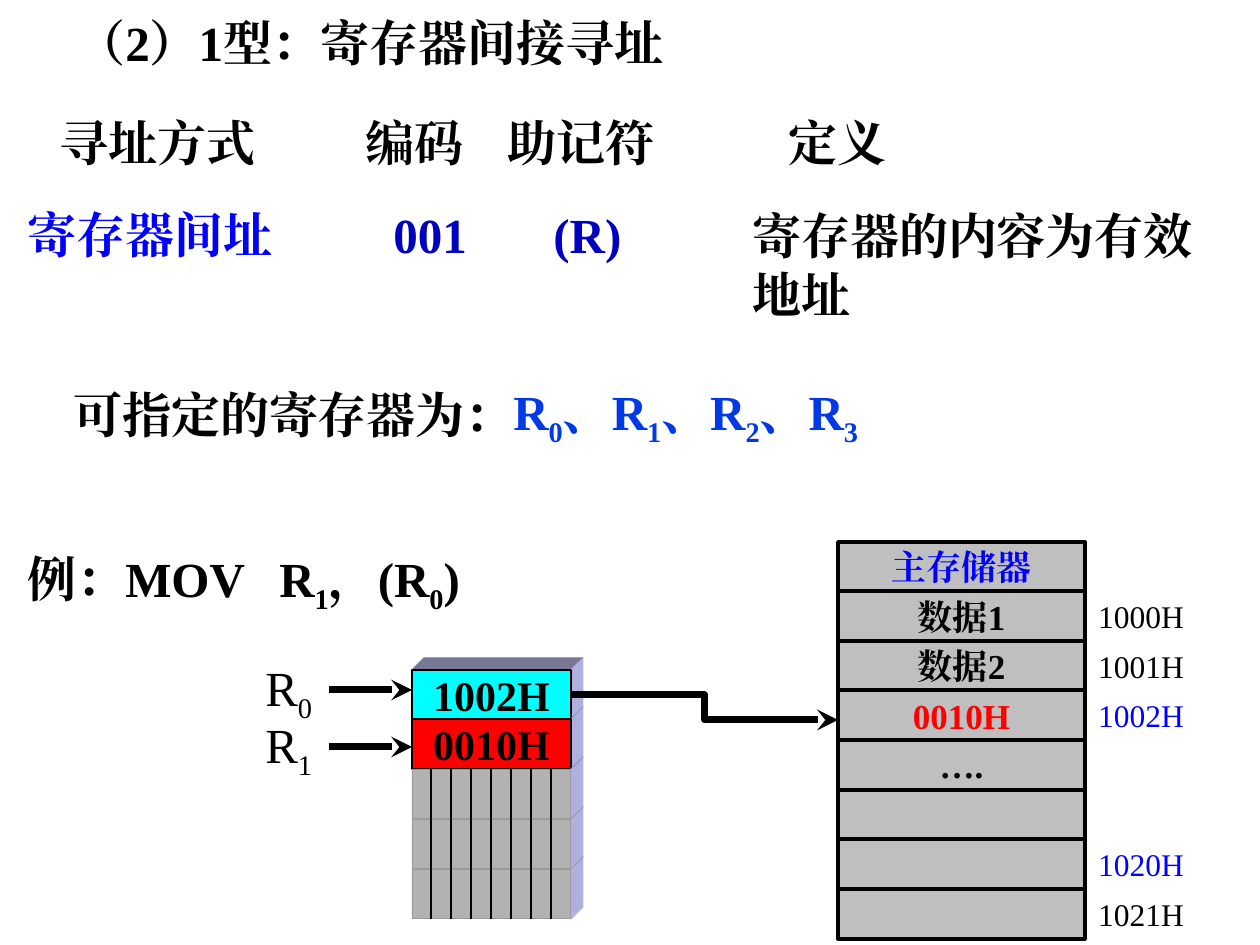
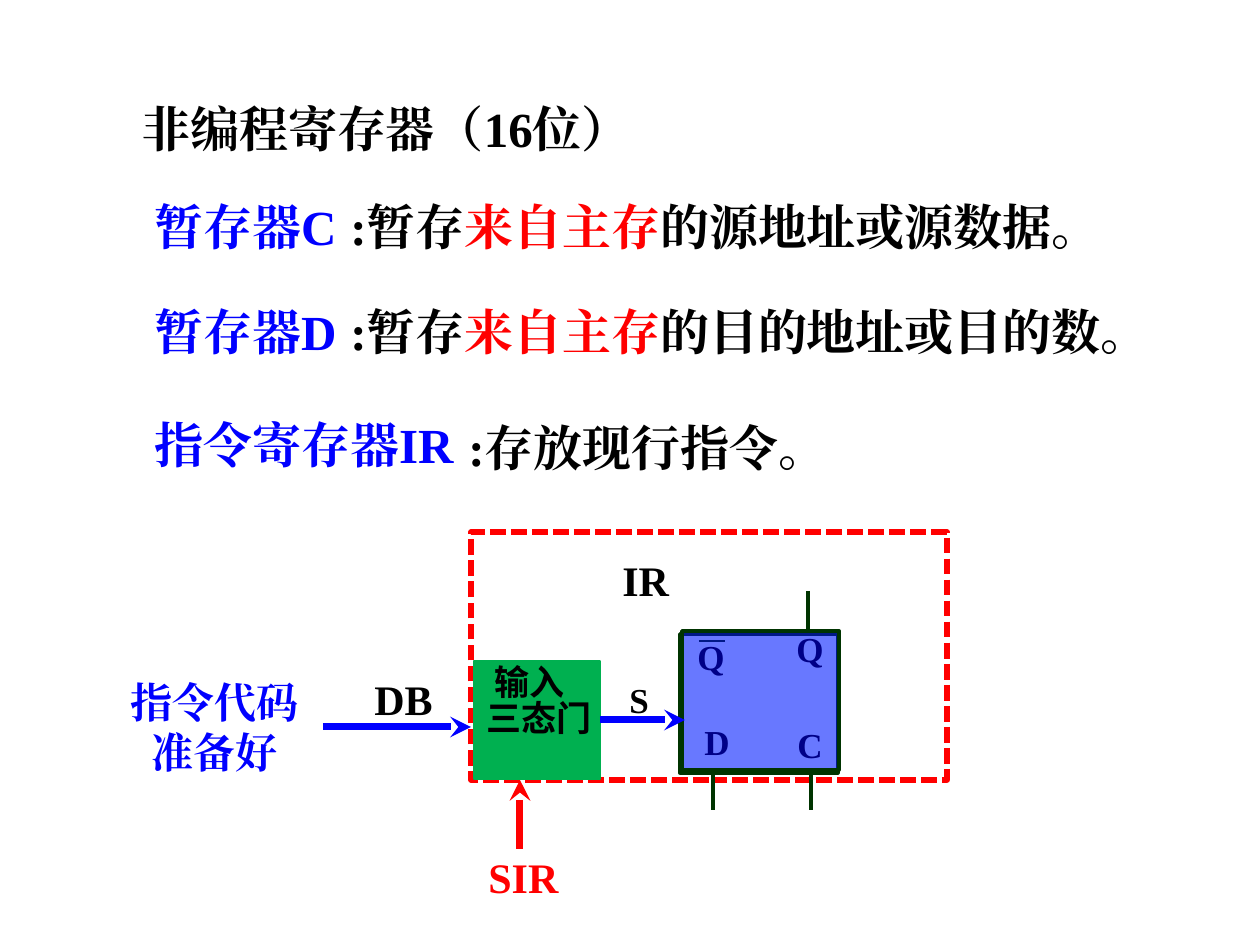
"""Build two slides on register indirect addressing and the hidden registers."""
from dataclasses import dataclass
from itertools import pairwise
from typing import Optional

from lxml import etree
from pptx import Presentation
from pptx import util as u
from pptx.dml.color import RGBColor
from pptx.enum import dml, shapes, text
from pptx.oxml.ns import qn

SCALE = 914400 / 126
BLACK, WHITE, RED, BLUE = "000000", "FFFFFF", "FF0000", "0000FF"
NAVY, ROYAL, CYAN, GREEN = "0000BF", "0039E5", "00FFFF", "00B050"
DARK_GREEN, PALE, MEMORY_GREY, BIT_GREY = "003400", "DDFFFF", "BFBFBF", "B2B2B2"
SIDE, TOP, EDGE = "B0B0DE", "787896", "9A9A9A"
SERIF, SANS = "Times New Roman", "Noto Sans CJK SC"
LEFT, CENTER = text.PP_ALIGN.LEFT, text.PP_ALIGN.CENTER
STRAIGHT, ELBOW = shapes.MSO_CONNECTOR.STRAIGHT, shapes.MSO_CONNECTOR.ELBOW


@dataclass(frozen=True)
class Run:
    """A stretch of text that differs from its paragraph."""
    text: str
    color: Optional[str] = None
    subscript: bool = False


@dataclass(frozen=True)
class Style:
    """The look of a block of text."""
    size: int = 28
    color: str = BLACK
    bold: bool = True
    font: str = SERIF
    align: text.PP_ALIGN = LEFT
    wrap: bool = True
    tabs: tuple[int, ...] = ()
    spacing: Optional[float] = None
    first_indent: int = 0


@dataclass(frozen=True)
class Label:
    """A text box; each line is a list of runs."""
    lines: list[list[Run]]
    left: int
    top: int
    width: int
    height: int = 72
    style: Style = Style()


@dataclass(frozen=True)
class Box:
    """A rectangle with optional fill and line."""
    left: int
    top: int
    width: int
    height: int
    fill: Optional[str] = None
    line: Optional[str] = None
    weight: float = 1


@dataclass(frozen=True)
class Wire:
    """A connector between two points."""
    start: tuple[int, int]
    end: tuple[int, int]
    color: str = BLACK
    weight: float = 4
    arrow: bool = True
    kind: shapes.MSO_CONNECTOR = STRAIGHT


def px(value: float) -> int:
    """Turn px into EMU."""
    return round(value * SCALE)


def rgb(color: str) -> RGBColor:
    """Turn a hex string into a colour."""
    return RGBColor.from_string(color)


def plain(content: str) -> list[list[Run]]:
    """Split a string into lines of one run each."""
    return [[Run(line)] for line in content.split("\n")]


def indexed(*parts: str) -> list[list[Run]]:
    """Make one line in which every second part is a subscript."""
    return [[Run(part, subscript=index % 2 == 1) for index, part in enumerate(parts)]]


def edges(start: int, length: int, count: int) -> list[int]:
    """Divide a length into equal cells and return their edges."""
    return [start + length * index // count for index in range(count + 1)]


def write(frame, lines: list[list[Run]], style: Style) -> None:
    """Fill a text frame with styled lines."""
    frame.word_wrap = style.wrap
    for index, line in enumerate(lines):
        paragraph = frame.paragraphs[0] if index == 0 else frame.add_paragraph()
        paragraph.alignment = style.align
        if style.spacing:
            paragraph.line_spacing = style.spacing
        properties = paragraph._p.get_or_add_pPr()
        if index == 0 and style.first_indent:
            properties.set("marL", str(px(style.first_indent)))
        if style.tabs:
            tab_list = etree.SubElement(properties, qn("a:tabLst"))
            for tab in style.tabs:
                etree.SubElement(tab_list, qn("a:tab"), pos=str(px(tab)), algn="l")
        font = paragraph.font
        font.size, font.bold, font.name = u.Pt(style.size), style.bold, style.font
        if all(run.color is None for run in line):
            font.color.rgb = rgb(style.color)
        etree.SubElement(properties.find(qn("a:defRPr")), qn("a:ea"), typeface=style.font)
        for part in line:
            run = paragraph.add_run()
            run.text = part.text
            if part.color:
                run.font.color.rgb = rgb(part.color)
            if part.subscript:
                run._r.get_or_add_rPr().set("baseline", "-25000")


def add_label(slide, label: Label) -> None:
    """Draw a text box."""
    shape = slide.shapes.add_textbox(px(label.left), px(label.top), px(label.width), px(label.height))
    write(shape.text_frame, label.lines, label.style)
    shape.text_frame.auto_size = text.MSO_AUTO_SIZE.SHAPE_TO_FIT_TEXT


def paint(shape, fill: Optional[str], line: Optional[str], weight: float = 1) -> None:
    """Set the fill and line of a shape and drop its shadow."""
    shape.shadow.inherit = False
    if fill:
        shape.fill.solid()
        shape.fill.fore_color.rgb = rgb(fill)
    else:
        shape.fill.background()
    if line:
        shape.line.color.rgb = rgb(line)
        shape.line.width = u.Pt(weight)
    else:
        shape.line.fill.background()


def add_box(slide, box: Box, content: str = "", style: Style = Style(),
            anchor: text.MSO_ANCHOR = text.MSO_ANCHOR.MIDDLE):
    """Draw a rectangle, with text if any is given."""
    shape = slide.shapes.add_shape(shapes.MSO_SHAPE.RECTANGLE, px(box.left), px(box.top),
                                   px(box.width), px(box.height))
    paint(shape, box.fill, box.line, box.weight)
    if content:
        write(shape.text_frame, plain(content), style)
        shape.text_frame.vertical_anchor = anchor
    return shape


def add_wire(slide, wire: Wire):
    """Draw a connector without a shadow."""
    connector = slide.shapes.add_connector(wire.kind, *map(px, wire.start + wire.end))
    connector.line.color.rgb = rgb(wire.color)
    connector.line.width = u.Pt(wire.weight)
    if wire.arrow:
        etree.SubElement(connector.line._get_or_add_ln(), qn("a:tailEnd"), type="stealth")
    etree.SubElement(connector._element.spPr, qn("a:effectLst"))
    return connector


def add_face(slide, points: list[tuple[int, int]], fill: str, line: str) -> None:
    """Draw a closed outline."""
    outline = [(px(x), px(y)) for x, y in points]
    builder = slide.shapes.build_freeform(*outline[0], scale=1.0)
    builder.add_line_segments(outline[1:], close=True)
    paint(builder.convert_to_shape(), fill, line, 0.5)


def add_register_file(slide) -> None:
    """Draw the solid block of registers and its two filled cells."""
    left, top, width, height, depth = 412, 670, 159, 249, 12
    right = left + width
    add_face(slide, [(left, top), (left + depth, top - depth),
                     (right + depth, top - depth), (right, top)], TOP, TOP)
    filled = [("1002H", CYAN), ("0010H", RED)]
    style = Style(24, align=CENTER, wrap=False)
    for index, (upper, lower) in enumerate(pairwise(edges(top, height, 5))):
        add_face(slide, [(right, upper), (right + depth, upper - depth),
                         (right + depth, lower - depth), (right, lower)], SIDE, SIDE)
        if index:
            add_wire(slide, Wire((right, upper), (right + depth, upper - depth), EDGE, 0.5, False))
        if index < len(filled):
            value, color = filled[index]
            add_box(slide, Box(left, upper, width, lower - upper, color, BLACK), value, style)
            continue
        add_box(slide, Box(left, upper, width, lower - upper, BIT_GREY, EDGE, 0.5))
        for x in edges(left, width, 8)[1:-1]:
            add_wire(slide, Wire((x, upper), (x, lower), weight=0.75, arrow=False))


def add_memory(slide) -> None:
    """Draw the main memory column with its addresses."""
    rows = [("主存储器", BLUE, "", BLACK), ("数据1", BLACK, "1000H", BLACK),
            ("数据2", BLACK, "1001H", BLACK), ("0010H", RED, "1002H", BLUE),
            ("….", BLACK, "", BLACK), ("", BLACK, "", BLACK),
            ("", BLACK, "1020H", BLUE), ("", BLACK, "1021H", BLACK)]
    for (upper, lower), (value, color, address, address_color) in zip(
            pairwise(edges(542, 397, len(rows))), rows):
        if address:
            add_box(slide, Box(1076, upper, 130, lower - upper, WHITE), address,
                    Style(18, address_color, False, align=CENTER))
        add_box(slide, Box(838, upper, 247, lower - upper, MEMORY_GREY, BLACK, 2), value,
                Style(20, color, align=CENTER))


def build_addressing(slide) -> None:
    """Build the slide on register indirect addressing."""
    for label in [
        Label(plain("（2）1型：寄存器间接寻址"), 64, 6, 804),
        Label(plain("寻址方式\t编码\t助记符\t定义"), 47, 106, 1050, style=Style(tabs=(306, 448, 729))),
        Label(plain("寄存器间址"), 15, 198, 465, style=Style(color=BLUE)),
        Label(plain("001"), 381, 198, 243, style=Style(color=NAVY)),
        Label(plain("(R)"), 541, 198, 106, style=Style(color=NAVY)),
        Label(plain("寄存器的内容为有效地址"), 740, 199, 512, 131),
        Label(plain("可指定的寄存器为："), 61, 378, 440),
        Label(indexed("R", "0", "、R", "1", "、R", "2", "、R", "3"), 501, 375, 417,
              style=Style(color=ROYAL)),
        Label(indexed("例：MOV\tR", "1", "，(R", "0", ")"), 15, 542, 486, style=Style(tabs=(252,))),
    ]:
        add_label(slide, label)
    add_register_file(slide)
    add_memory(slide)
    for number, top, arrow_y in [("0", 651, 690), ("1", 708, 747)]:
        add_label(slide, Label(indexed("R", number), 253, top, 74, style=Style(bold=False, wrap=False)))
        add_wire(slide, Wire((329, arrow_y), (412, arrow_y)))
    add_wire(slide, Wire((571, 695), (838, 720), kind=ELBOW))


def add_flip_flop(slide) -> None:
    """Draw the flip-flop with its pins under a tinted cover."""
    add_box(slide, Box(680, 634, 158, 139, PALE, DARK_GREEN, 2))
    for name, left, top in [("S", 617, 672), ("D", 692, 714), ("C", 785, 717),
                            ("Q", 784, 621), ("Q", 685, 629)]:
        add_label(slide, Label(plain(name), left, top, 68, 48, Style(20)))
    add_wire(slide, Wire((699, 641), (725, 641), DARK_GREEN, 1.5, False))
    for x, upper, lower in [(808, 591, 634), (713, 772, 810), (811, 772, 810)]:
        add_wire(slide, Wire((x, upper), (x, lower), DARK_GREEN, 2, False))
    cover = add_box(slide, Box(682, 631, 157, 139, BLUE, DARK_GREEN, 2))
    tint = cover._element.spPr.find(qn("a:solidFill"))[0]
    etree.SubElement(tint, qn("a:alpha"), val="53000")


def build_hidden_registers(slide) -> None:
    """Build the slide on registers that programs cannot reach."""
    add_label(slide, Label(plain("非编程寄存器（16位）"), 129, 92, 861))
    for name, top, ending in [("C", 190, "的源地址或源数据。"), ("D", 295, "的目的地址或目的数。")]:
        add_label(slide, Label(plain(f"暂存器{name}"), 142, top, 368, style=Style(color=BLUE)))
        add_label(slide, Label([[Run(":暂存", BLACK), Run("来自主存", RED), Run(ending, BLACK)]],
                               338, top, 809))
    add_label(slide, Label(plain("指令寄存器IR"), 142, 408, 693, style=Style(color=BLUE)))
    add_label(slide, Label(plain(":存放现行指令。"), 456, 411, 404))
    frame = add_box(slide, Box(471, 532, 476, 248, None, RED, 3))
    frame.line.dash_style = dml.MSO_LINE.SQUARE_DOT
    add_flip_flop(slide)
    gate = add_box(slide, Box(474, 661, 126, 118, GREEN, GREEN), "输入\n三态门",
                   Style(20, font=SANS, wrap=False, spacing=0.85, first_indent=8),
                   text.MSO_ANCHOR.TOP)
    add_wire(slide, Wire((600, 720), (685, 720), BLUE)).begin_connect(gate, 3)
    add_wire(slide, Wire((323, 727), (471, 727), BLUE))
    add_wire(slide, Wire((520, 849), (520, 780), RED))
    for content, left, top, width, color, align in [
        ("DB", 362, 667, 84, BLACK, LEFT), ("SIR", 476, 845, 96, RED, LEFT),
        ("IR", 610, 548, 73, BLACK, LEFT), ("指令代码\n准备好", 117, 670, 195, BLUE, CENTER),
    ]:
        add_label(slide, Label(plain(content), left, top, width, 63,
                               Style(24, color, align=align, wrap=False)))


def main() -> None:
    """Build and save the presentation."""
    presentation = Presentation()
    presentation.slide_width, presentation.slide_height = px(1260), px(945)
    for build in (build_addressing, build_hidden_registers):
        build(presentation.slides.add_slide(presentation.slide_layouts[6]))
    presentation.save("out.pptx")


if __name__ == "__main__":
    main()
